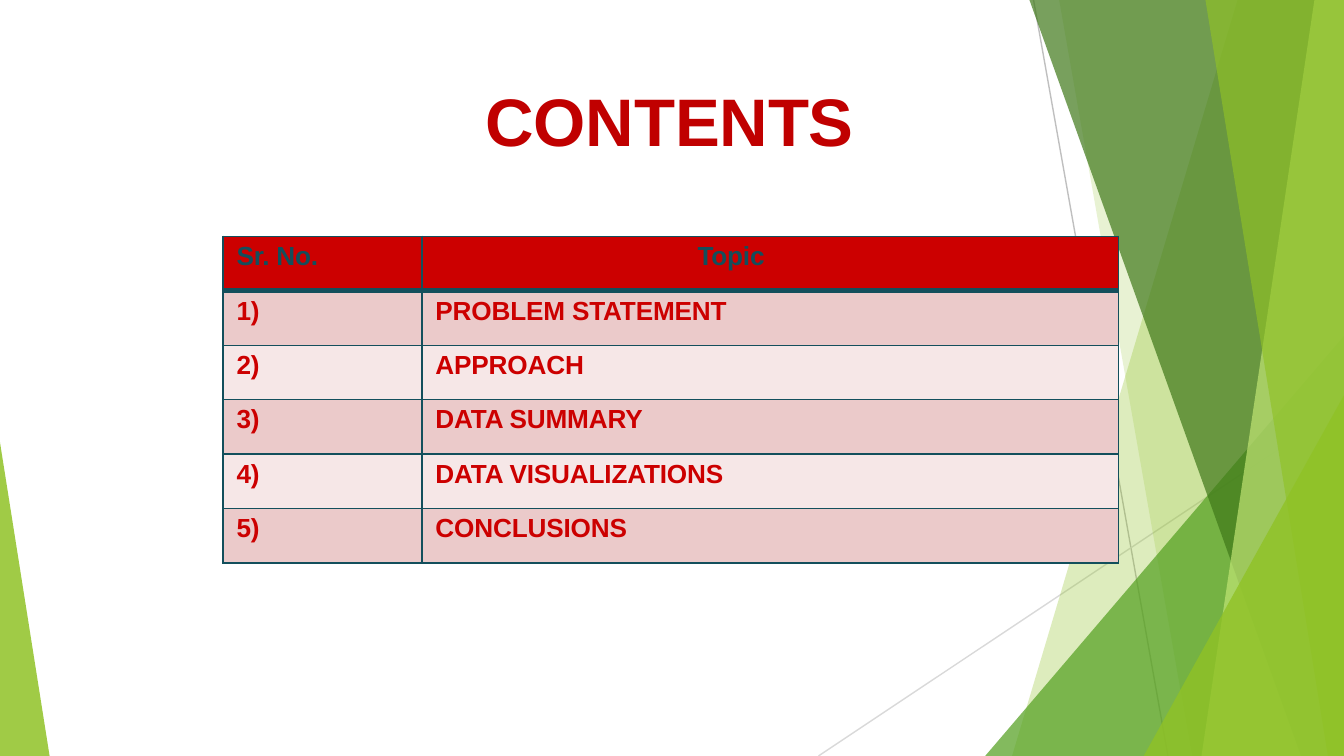
from lxml import etree
from pptx import Presentation
from pptx.dml.color import RGBColor
from pptx.enum import shapes, text
from pptx.oxml.ns import qn
from pptx.util import Pt

W, H = 720, 405
FONT = "Arial"
HEX = {
    "lime": "90C226", "green": "54A021", "dark": "3F7819", "pale": "C0E474",
    "gray": "BFBFBF", "light": "D9D9D9", "title": "C00000", "red": "CC0000",
    "teal": "134F5C", "rose": "EBCACA", "blush": "F6E7E7",
}
TITLE = "CONTENTS"
ROWS = [
    ("Sr. No.", "Topic"),
    ("1)", "PROBLEM STATEMENT"),
    ("2)", "APPROACH"),
    ("3)", "DATA SUMMARY"),
    ("4)", "DATA VISUALIZATIONS"),
    ("5)", "CONCLUSIONS"),
]
COLS = (106.6, 373.2)
ROW_H = 29.15
LINES = [
    ((553.7, 0), (625.7, H), "gray"),
    ((W, 217.4), (438.5, H), "light"),
]
# kind, then top and bottom x for a band, or left, top, width, peak for a wedge
DECOR = [
    ("band", (663, 542.2), "lime", 30),
    ("band", (567.4, 638.6), "lime", 20),
    ("wedge", (527.8, 180, 192.2, 1), "green", 72),
    ("band", (551.5, 697), "dark", 70),
    ("band", (704.2, 643.7), "pale", 70),
    ("band", (645.8, 711.4), "lime", 65),
    ("wedge", (612.7, 211.7, 107.3, 1), "lime", 80),
    ("wedge", (0, 236.9, 26.6, 0), "lime", 85),
]


def color(name):
    return RGBColor.from_string(HEX[name])


def rule(slide, start, end, tint):
    line = slide.shapes.add_connector(
        shapes.MSO_CONNECTOR.STRAIGHT, *map(Pt, start + end))
    line.line.color.rgb = color(tint)
    line.line.width = Pt(0.75)
    etree.SubElement(line._element.spPr, qn("a:effectLst"))


def band(slide, top, base):
    draw = slide.shapes.build_freeform(Pt(top), Pt(0), scale=1.0)
    edge = [(W, 0), (W, H), (base, H)]
    draw.add_line_segments([(Pt(x), Pt(y)) for x, y in edge], close=True)
    return draw.convert_to_shape()


def wedge(slide, left, top, width, peak):
    shape = slide.shapes.add_shape(
        shapes.MSO_SHAPE.ISOSCELES_TRIANGLE,
        Pt(left), Pt(top), Pt(width), Pt(H - top))
    shape.adjustments[0] = peak
    return shape


def paint(shape, tint, alpha):
    shape.shadow.inherit = False
    shape.line.fill.background()
    shape.fill.solid()
    shape.fill.fore_color.rgb = color(tint)
    node = shape._element.spPr.find(".//" + qn("a:srgbClr"))
    etree.SubElement(node, qn("a:alpha"), val=str(alpha * 1000))


def style(para, size, tint, before):
    font = para.font
    font.name, font.size, font.bold = FONT, Pt(size), True
    font.color.rgb = color(tint)
    para.space_before = Pt(before)
    para._p.pPr.find(qn("a:defRPr")).set("spc", "-10")


def border(cell, widths):
    props = cell._tc.get_or_add_tcPr()
    for side, width in zip("LRTB", widths):
        line = etree.SubElement(props, qn("a:ln" + side), w=str(Pt(width)))
        fill = etree.SubElement(line, qn("a:solidFill"))
        etree.SubElement(fill, qn("a:srgbClr"), val=HEX["teal"])


def heading(slide):
    box = slide.shapes.add_textbox(Pt(259.2), Pt(41.8), Pt(200.2), Pt(45.4))
    frame = box.text_frame
    frame.word_wrap = True
    frame.margin_left = frame.margin_top = Pt(0.9)
    frame.margin_right = frame.margin_bottom = 0
    para = frame.paragraphs[0]
    para.text = TITLE
    style(para, 36, "title", 1)


def grid(slide):
    table = slide.shapes.add_table(
        len(ROWS), len(COLS), Pt(119.5), Pt(126.7),
        Pt(sum(COLS)), Pt(ROW_H * len(ROWS))).table
    table.first_row = table.horz_banding = False
    for col, width in zip(table.columns, COLS):
        col.width = Pt(width)
    for r, row in enumerate(ROWS):
        table.rows[r].height = Pt(ROW_H)
        head = r == 0
        for c, words in enumerate(row):
            cell = table.cell(r, c)
            border(cell, (1, 1, 3 if r == 1 else 1, 3 if head else 1))
            cell.fill.solid()
            tint = "red" if head else ("blush", "rose")[r % 2]
            cell.fill.fore_color.rgb = color(tint)
            cell.margin_left, cell.margin_top = Pt(7.2), Pt(2.9)
            cell.margin_right = cell.margin_bottom = 0
            para = cell.text_frame.paragraphs[0]
            para.text = words
            style(para, 14, "teal" if head else "red", 3.2)
            if head and c == 1:
                para.alignment = text.PP_ALIGN.CENTER
                cell.margin_left, cell.margin_right = 0, Pt(42)


def main():
    deck = Presentation()
    deck.slide_width, deck.slide_height = Pt(W), Pt(H)
    slide = deck.slides.add_slide(deck.slide_layouts[6])
    for start, end, tint in LINES:
        rule(slide, start, end, tint)
    make = {"band": band, "wedge": wedge}
    for kind, place, tint, alpha in DECOR:
        paint(make[kind](slide, *place), tint, alpha)
    heading(slide)
    grid(slide)
    deck.save("out.pptx")


if __name__ == "__main__":
    main()
